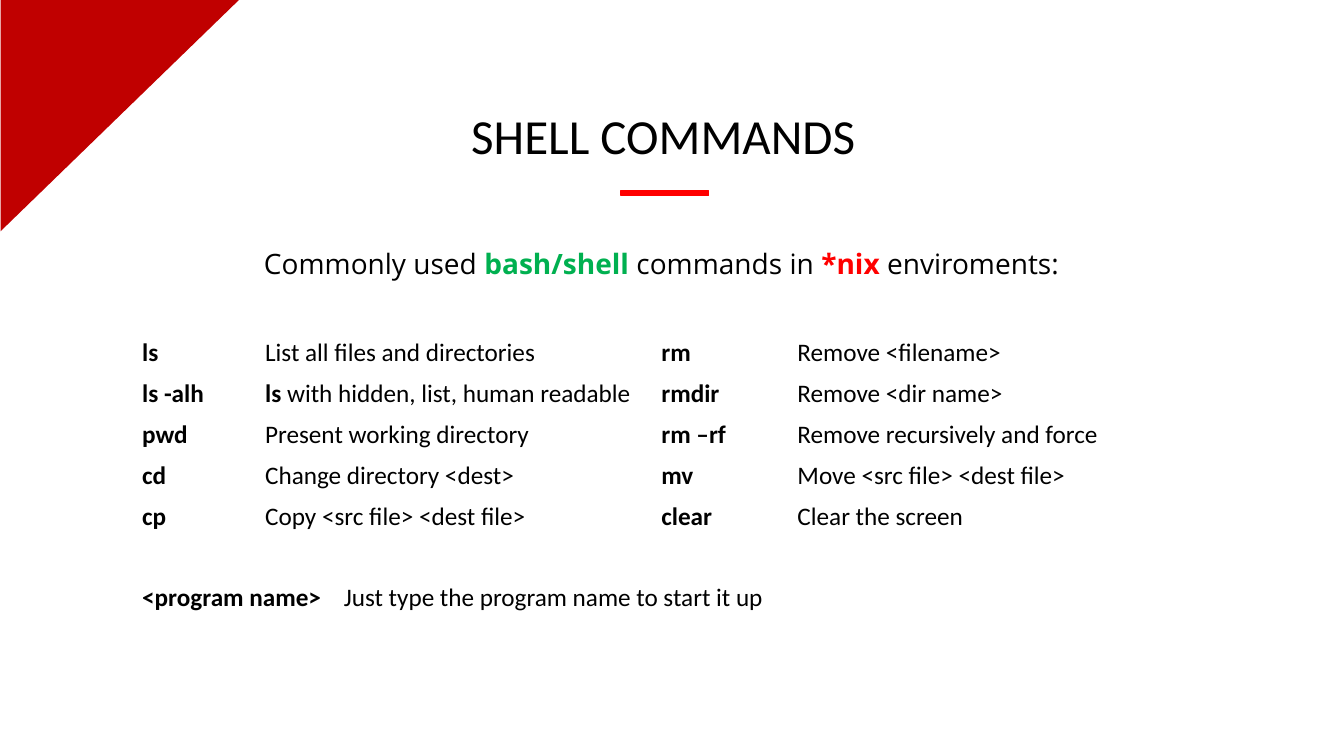
"""Build a slide that lists common shell commands."""
import dataclasses

import pptx
import pptx.dml.color
import pptx.enum.shapes
import pptx.enum.text
import pptx.oxml
import pptx.oxml.ns
import pptx.util

Inches = pptx.util.Inches


@dataclasses.dataclass(frozen=True)
class Theme:
    text: str = "000000"
    corner: str = "C00000"
    accent: str = "FF0000"
    shell: str = "00B050"
    font: str = "Calibri"
    intro_font: str = "Open Sans"
    title_size: int = 35
    intro_size: int = 20
    table_size: int = 18


class SlideBuilder:
    def __init__(self, presentation, theme):
        self.theme = theme
        self.slide = presentation.slides.add_slide(presentation.slide_layouts[5])

    def add_runs(self, paragraph, segments, size, font):
        for text, bold, color in segments:
            run = paragraph.add_run()
            run.text = text
            run.font.name = font
            run.font.size = pptx.util.Pt(size)
            run.font.bold = bold
            run.font.color.rgb = pptx.dml.color.RGBColor.from_string(color)

    def center_text(self, shape, box, segments, size, font):
        shape.left, shape.top, shape.width, shape.height = map(Inches, box)
        frame = shape.text_frame
        frame.word_wrap = True
        frame.auto_size = pptx.enum.text.MSO_AUTO_SIZE.SHAPE_TO_FIT_TEXT
        frame.vertical_anchor = pptx.enum.text.MSO_ANCHOR.TOP
        paragraph = frame.paragraphs[0]
        paragraph.alignment = pptx.enum.text.PP_ALIGN.CENTER
        self.add_runs(paragraph, segments, size, font)

    def title(self, text, box):
        theme = self.theme
        self.center_text(self.slide.shapes.title, box, [(text, False, theme.text)],
                         theme.title_size, theme.font)

    def intro(self, segments, box):
        shape = self.slide.shapes.add_textbox(*map(Inches, box))
        self.center_text(shape, box, segments, self.theme.intro_size, self.theme.intro_font)

    def block(self, kind, box, color, rotation=0, outlined=False):
        shape = self.slide.shapes.add_shape(kind, *map(Inches, box))
        shape.rotation = rotation
        shape.shadow.inherit = False
        fill_color = pptx.dml.color.RGBColor.from_string(color)
        shape.fill.solid()
        shape.fill.fore_color.rgb = fill_color
        if outlined:
            shape.line.color.rgb = fill_color
            shape.line.width = pptx.util.Pt(1)
        else:
            shape.line.fill.background()

    def cell(self, cell, segments):
        colored = [(text, bold, self.theme.text) for text, bold in segments]
        self.add_runs(cell.text_frame.paragraphs[0], colored,
                      self.theme.table_size, self.theme.font)

    def command_table(self, rows, closing, tab, box, widths):
        row_count = len(rows) + 2
        frame = self.slide.shapes.add_table(row_count, len(widths), *map(Inches, box))
        table = frame.table
        table.horz_banding = False
        for column, width in zip(table.columns, widths):
            column.width = Inches(width)
        for cell in table.iter_cells():
            cell.fill.background()
        for row_index, row in enumerate(rows):
            for column_index, content in enumerate(row):
                segments = content
                if isinstance(content, str):
                    segments = [(content, column_index % 2 == 0)]
                self.cell(table.cell(row_index, column_index), segments)
        last = table.cell(row_count - 1, 0)
        last.merge(table.cell(row_count - 1, len(widths) - 1))
        self.cell(last, closing)
        properties = last.text_frame.paragraphs[0]._p.get_or_add_pPr()
        properties.append(pptx.oxml.parse_xml(
            f'<a:tabLst {pptx.oxml.ns.nsdecls("a")}>'
            f'<a:tab pos="{Inches(tab)}" algn="l"/></a:tabLst>'))


def main():
    theme = Theme()
    presentation = pptx.Presentation()
    presentation.slide_width = Inches(13.33)
    presentation.slide_height = Inches(7.5)
    builder = SlideBuilder(presentation, theme)
    shapes = pptx.enum.shapes.MSO_SHAPE

    builder.block(shapes.RIGHT_TRIANGLE, (0.04, -0.04, 2.3, 2.37), theme.corner, rotation=90)
    builder.block(shapes.RECTANGLE, (6.16, 1.89, 0.87, 0.05), theme.accent, outlined=True)
    builder.title("SHELL COMMANDS", (1.91, 1, 9.34, 0.69))

    commands = [
        ("ls", "List all files and directories", "rm", "Remove <filename>"),
        ("ls -alh", [("ls", True), (" with hidden, list, human readable", False)],
         "rmdir", "Remove <dir name>"),
        ("pwd", "Present working directory", "rm –rf", "Remove recursively and force"),
        ("cd", "Change directory <dest>", "mv", "Move <src file> <dest file>"),
        ("cp", "Copy <src file> <dest file>", "clear", "Clear the screen"),
    ]
    closing = [("<program name>\t", True), ("Just type the program name to start it up", False)]
    builder.command_table(commands, closing, 2, (1.31, 3.3, 10.73, 2.84),
                          (1.22, 3.93, 1.35, 4.23))

    builder.intro([
        ("Commonly used ", False, theme.text),
        ("bash/shell", True, theme.shell),
        (" commands in ", False, theme.text),
        ("*nix ", True, theme.accent),
        ("enviroments:", False, theme.text),
    ], (1.77, 2.4, 9.58, 0.44))
    presentation.save("out.pptx")


if __name__ == "__main__":
    main()
